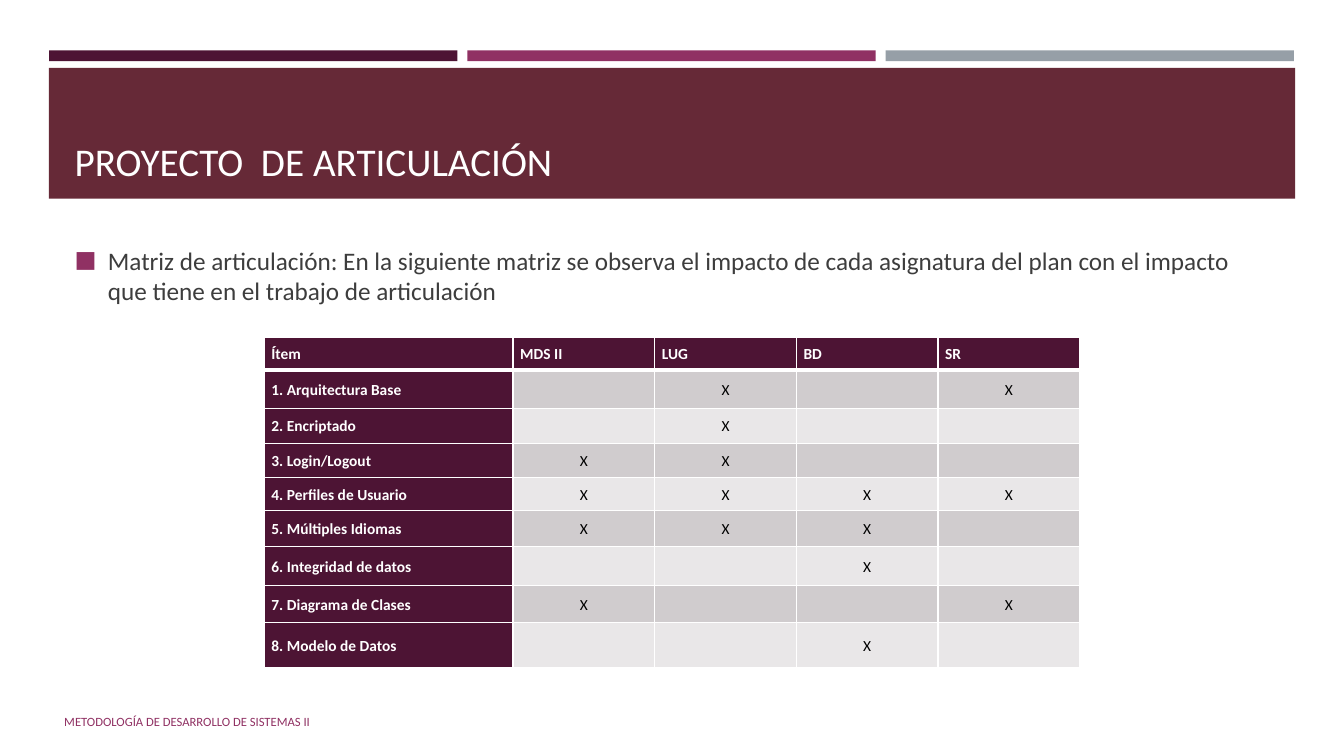
from dataclasses import dataclass

import lxml.etree
import pptx
import pptx.dml.color
import pptx.enum.shapes
import pptx.enum.text
import pptx.oxml.ns
import pptx.util

Cm = pptx.util.Cm
Pt = pptx.util.Pt
qn = pptx.oxml.ns.qn
rgb = pptx.dml.color.RGBColor.from_string
ANCHOR = pptx.enum.text.MSO_ANCHOR
ALIGN = pptx.enum.text.PP_ALIGN


@dataclass(frozen=True)
class Theme:
    font: str = "Calibri"
    plum: str = "4D1434"
    magenta: str = "903163"
    gray: str = "969FA7"
    wine: str = "662937"
    body: str = "3D3D3D"
    white: str = "FFFFFF"
    black: str = "000000"
    dark_band: str = "D0CCCE"
    light_band: str = "E9E7E8"
    title_size: int = 28
    body_size: int = 18
    table_size: int = 11
    footer_size: int = 9


theme = Theme()


def write(paragraph, text, size, color, bold=False):
    run = paragraph.add_run()
    run.text = text
    settings = {"name": theme.font, "size": Pt(size), "bold": bold}
    for name, value in settings.items():
        setattr(run.font, name, value)
    run.font.color.rgb = rgb(color)


def add_border(cell, side, width):
    """Add a white line; call before the cell's fill is set."""
    line = lxml.etree.SubElement(
        cell._tc.get_or_add_tcPr(), qn(f"a:ln{side}"), w=str(Pt(width)))
    fill = lxml.etree.SubElement(line, qn("a:solidFill"))
    lxml.etree.SubElement(fill, qn("a:srgbClr"), val=theme.white)


presentation = pptx.Presentation()
presentation.slide_width = Cm(33.87)
presentation.slide_height = Cm(19.05)
slide = presentation.slides.add_slide(presentation.slide_layouts[6])

# Top strips and title band: left, top, width, height, color
strip_left, strip_step = 1.24, 10.54
strips = [(strip_left + index * strip_step, 1.27, 10.29, 0.27, color)
          for index, color in enumerate([theme.plum, theme.magenta, theme.gray])]
for left, top, width, height, color in strips + [(1.23, 1.71, 31.41, 3.3, theme.wine)]:
    shape = slide.shapes.add_shape(
        pptx.enum.shapes.MSO_SHAPE.RECTANGLE, Cm(left), Cm(top), Cm(width), Cm(height))
    shape.shadow.inherit = False
    shape.fill.solid()
    shape.fill.fore_color.rgb = rgb(color)
    shape.line.fill.background()

# Title, body and footer: box, anchor, text, size, color
texts = [
    ((1.63, 1.96, 30.63, 2.82), ANCHOR.BOTTOM, "PROYECTO  DE ARTICULACIÓN",
     theme.title_size, theme.white),
    ((1.63, 6.05, 30.63, 10.21), ANCHOR.TOP,
     "Matriz de articulación: En la siguiente matriz se observa el impacto de cada "
     "asignatura del plan con el impacto que tiene en el trabajo de articulación",
     theme.body_size, theme.body),
    ((1.37, 17.68, 19.2, 1.02), ANCHOR.MIDDLE,
     "METODOLOGÍA DE DESARROLLO DE SISTEMAS II", theme.footer_size, theme.magenta),
]
for box, anchor, text, size, color in texts:
    frame = slide.shapes.add_textbox(*map(Cm, box)).text_frame
    frame.word_wrap = True
    frame.vertical_anchor = anchor
    paragraph = frame.paragraphs[0]
    write(paragraph, text, size, color)
    if size == theme.body_size:
        paragraph.space_before = Pt(3.6)
        paragraph.space_after = Pt(6)
        properties = paragraph._p.get_or_add_pPr()
        properties.set("marL", str(Cm(0.84)))
        properties.set("indent", str(-Cm(0.84)))
        bullet_color = lxml.etree.SubElement(properties, qn("a:buClr"))
        lxml.etree.SubElement(bullet_color, qn("a:srgbClr"), val=theme.magenta)
        lxml.etree.SubElement(properties, qn("a:buSzPct"), val="92000")
        lxml.etree.SubElement(properties, qn("a:buFont"), typeface=theme.font)
        lxml.etree.SubElement(properties, qn("a:buChar"), char="■")

# Articulation matrix: subjects and the items that involve them
subjects = ["MDS II", "LUG", "BD", "SR"]
items = [
    ("1. Arquitectura Base", ["LUG", "SR"]),
    ("2. Encriptado", ["LUG"]),
    ("3. Login/Logout", ["MDS II", "LUG"]),
    ("4. Perfiles de Usuario", subjects),
    ("5. Múltiples Idiomas", ["MDS II", "LUG", "BD"]),
    ("6. Integridad de datos", ["BD"]),
    ("7. Diagrama de Clases", ["MDS II", "SR"]),
    ("8. Modelo de Datos", ["BD"]),
]
rows = [["Ítem"] + subjects]
for item, involved in items:
    rows.append([item] + ["X" if subject in involved else "" for subject in subjects])
column_widths = [6.27] + [3.57] * len(subjects)
row_heights = [0.84, 0.96, 0.89, 0.85, 0.84, 0.91, 0.98, 0.93, 1.14]

table = slide.shapes.add_table(
    len(rows), len(column_widths), Cm(6.66), Cm(8.49),
    Cm(sum(column_widths)), Cm(sum(row_heights))).table
for column, width in zip(table.columns, column_widths):
    column.width = Cm(width)
for row, height in zip(table.rows, row_heights):
    row.height = Cm(height)

cell_format = {"margin_left": Cm(0.18), "margin_right": Cm(0.18), "margin_top": 0,
               "margin_bottom": 0, "vertical_anchor": ANCHOR.MIDDLE}
for row_index, row in enumerate(rows):
    band = theme.dark_band if row_index % 2 else theme.light_band
    for column_index, text in enumerate(row):
        heading = row_index == 0 or column_index == 0
        cell = table.cell(row_index, column_index)
        for name, value in cell_format.items():
            setattr(cell, name, value)
        borders = {"L": 1, "R": 1, "T": 3 if row_index == 1 else 1,
                   "B": 3 if row_index == 0 else 1}
        for side, width in borders.items():
            add_border(cell, side, width)
        cell.fill.solid()
        cell.fill.fore_color.rgb = rgb(theme.plum if heading else band)
        paragraph = cell.text_frame.paragraphs[0]
        if text:
            paragraph.alignment = ALIGN.LEFT if heading else ALIGN.CENTER
            paragraph.line_spacing = 1.07
            paragraph.space_after = Pt(8)
            write(paragraph, text, theme.table_size,
                  theme.white if heading else theme.black, heading)
        else:
            # Keeps empty cells from stretching their row
            lxml.etree.SubElement(
                paragraph._p, qn("a:endParaRPr"), sz=str(theme.table_size * 100))

presentation.save("out.pptx")
